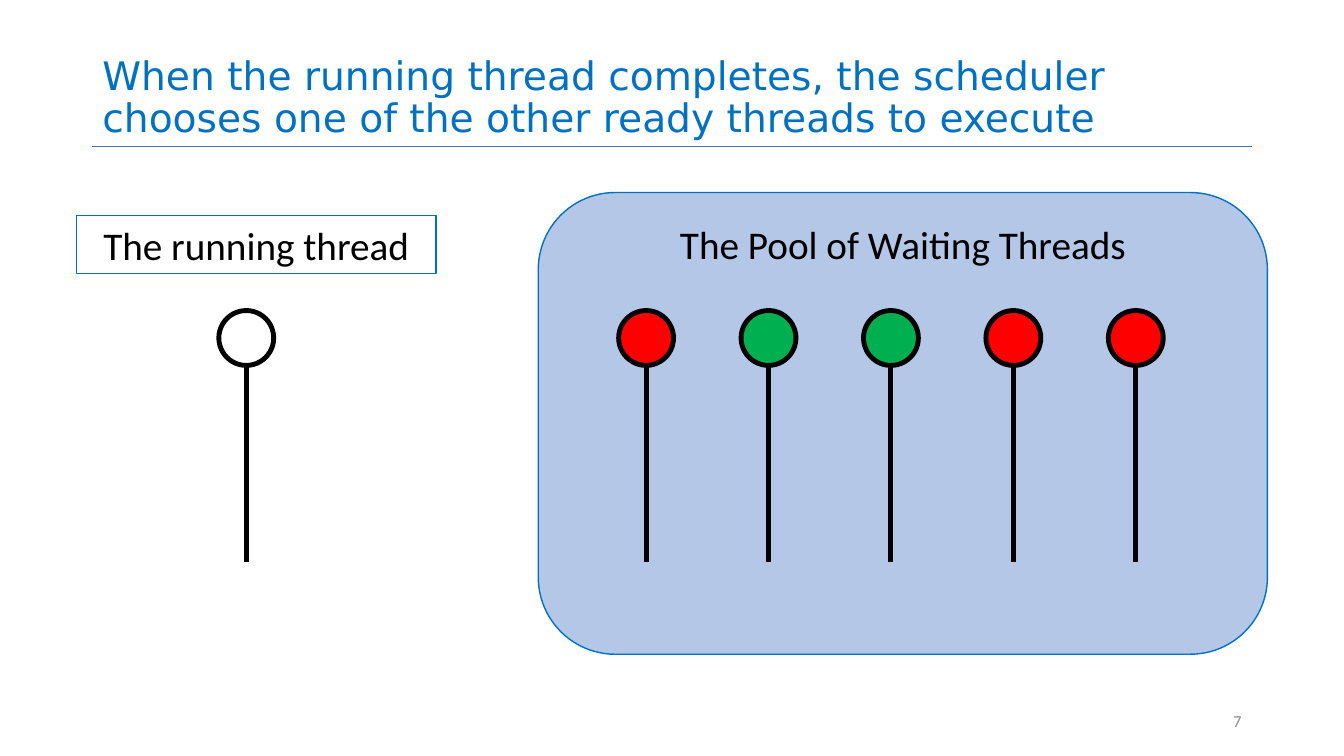
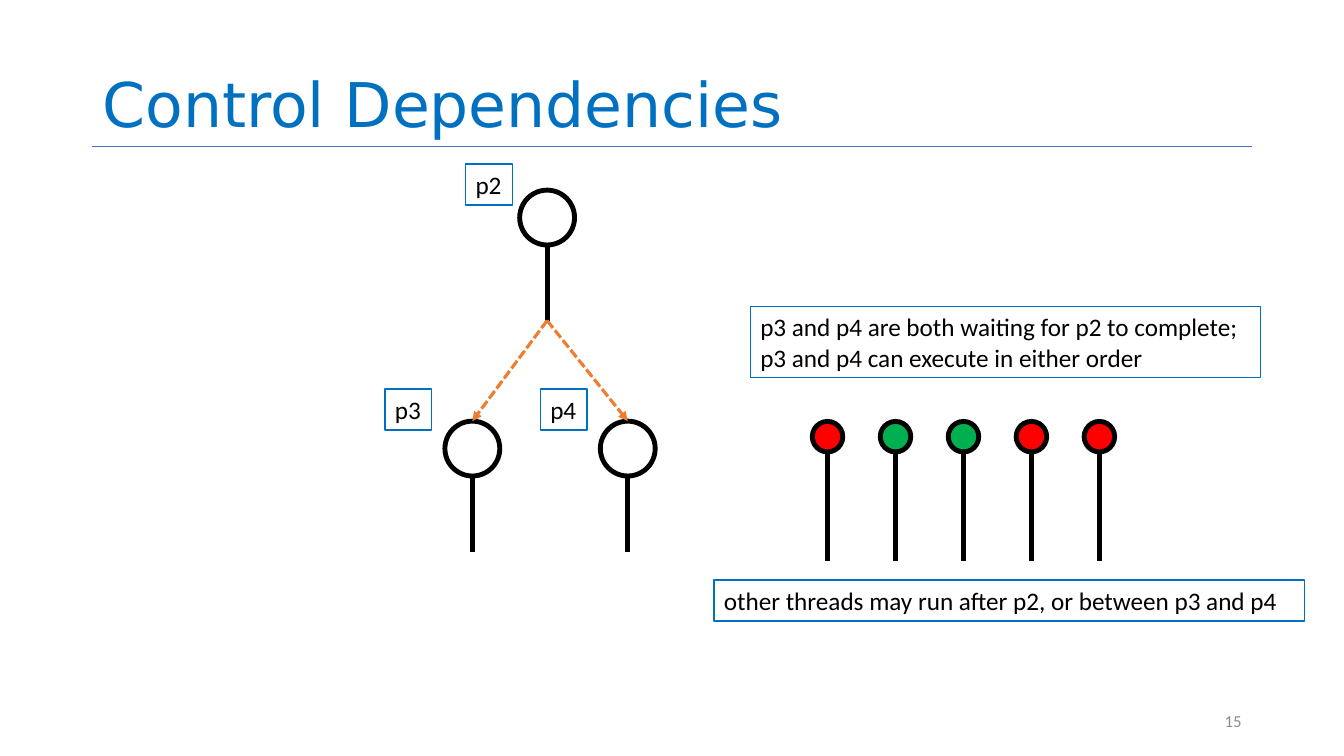
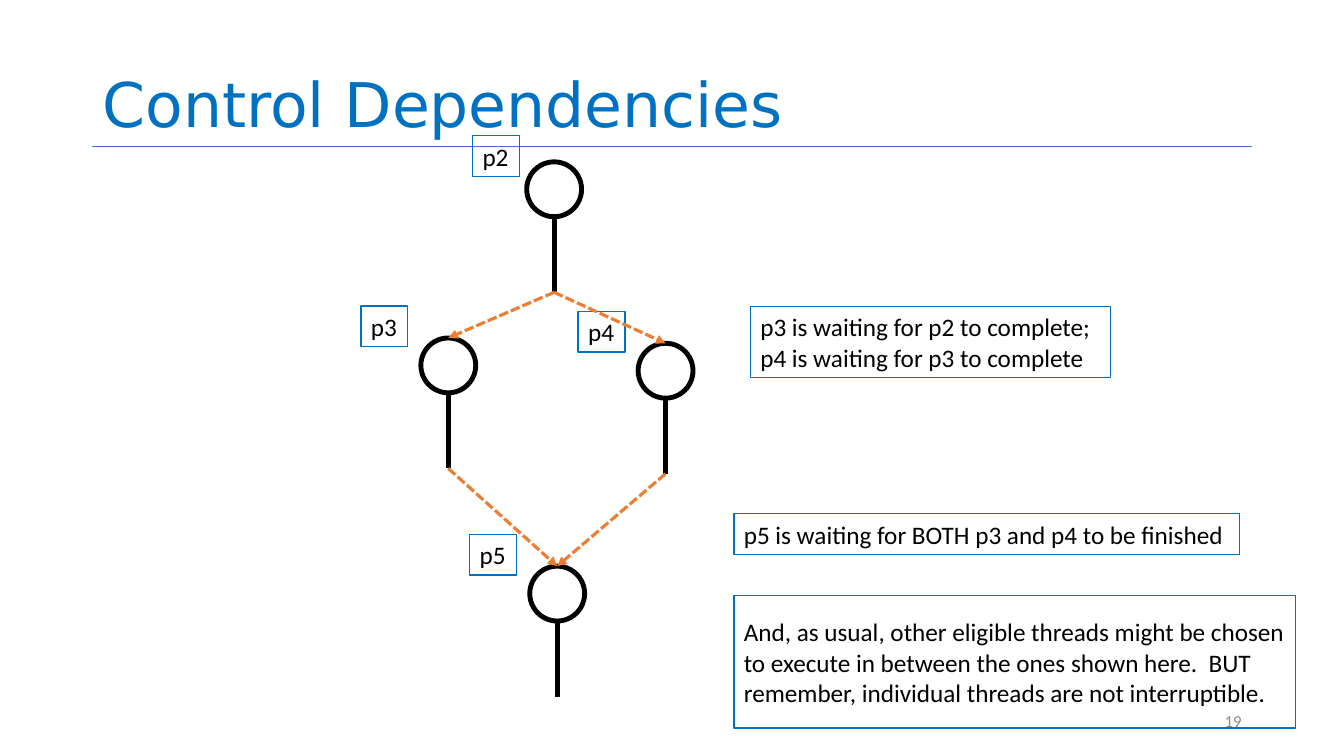
from dataclasses import dataclass

from lxml.etree import SubElement
from pptx import Presentation
from pptx.dml.color import RGBColor as Color
from pptx.enum.dml import MSO_LINE as Dash
from pptx.enum.shapes import MSO_CONNECTOR as Connector, MSO_SHAPE as Preset
from pptx.enum.text import MSO_ANCHOR as Anchor, MSO_AUTO_SIZE as AutoSize, PP_ALIGN as Align
from pptx.oxml.ns import qn
from pptx.util import Pt


@dataclass(frozen=True)
class Theme:
    """Colours, fonts, type sizes and line widths of the presentation."""
    accent: str = "0070C0"
    rule: str = "4472C4"
    pool: str = "B4C7E7"
    ink: str = "000000"
    muted: str = "8C8C8C"
    arrow: str = "ED7D31"
    red: str = "FF0000"
    green: str = "00B050"
    title_font: str = "DejaVu Sans"
    body_font: str = "Calibri"
    title_size: float = 44
    heading_size: float = 28
    body_size: float = 18
    number_size: float = 12
    rule_width: float = 0.5
    frame_width: float = 1
    arrow_width: float = 2.25
    thread_width: float = 3.5


@dataclass(frozen=True)
class Box:
    """A rectangle in points."""
    left: float
    top: float
    width: float
    height: float

    @property
    def right(self):
        """Return the right edge."""
        return self.left + self.width

    @property
    def bottom(self):
        """Return the bottom edge."""
        return self.top + self.height

    def lengths(self):
        """Return the four lengths as python-pptx expects them."""
        return Pt(self.left), Pt(self.top), Pt(self.width), Pt(self.height)


THEME = Theme()
TITLE = Box(66, 0, 828, 104.4)
NUMBER = Box(678, 500.4, 216, 28.8)
HEAD = 39.2
SMALL_HEAD = 21.8
LABEL_WIDTH, LABEL_HEIGHT = 33.4, 29.1
FIRST_NODE = (77.8, 111.8)
NEXT_NODE = (82, 116)
POOL_COLORS = (THEME.red, THEME.green, THEME.green, THEME.red, THEME.red)


def write(shape, lines, size, color=THEME.ink, font=THEME.body_font,
          align=Align.LEFT, anchor=Anchor.MIDDLE):
    """Fill a shape with paragraphs of one style."""
    frame = shape.text_frame
    frame.text = "\n".join(lines)
    frame.word_wrap = True
    frame.auto_size = AutoSize.NONE
    frame.vertical_anchor = anchor
    for paragraph in frame.paragraphs:
        paragraph.alignment = align
        paragraph.font.name = font
        paragraph.font.size = Pt(size)
        paragraph.font.color.rgb = Color.from_string(color)


def outline(shape, color, width):
    """Set the line of a shape or connector."""
    shape.line.color.rgb = Color.from_string(color)
    shape.line.width = Pt(width)


def add_line(slide, start, end, color, width):
    """Draw a straight line without a shadow between two points."""
    line = slide.shapes.add_connector(
        Connector.STRAIGHT, *(Pt(value) for value in (*start, *end)))
    outline(line, color, width)
    SubElement(line.element.spPr, qn("a:effectLst"))
    return line


def add_preset(slide, preset, box, fill, color, width):
    """Draw a preset shape, unfilled if no fill is given."""
    shape = slide.shapes.add_shape(preset, *box.lengths())
    shape.shadow.inherit = False
    if fill:
        shape.fill.solid()
        shape.fill.fore_color.rgb = Color.from_string(fill)
    else:
        shape.fill.background()
    outline(shape, color, width)
    return shape


def add_page(presentation, title, number, size=THEME.title_size):
    """Add a slide with its title, rule and slide number."""
    slide = presentation.slides.add_slide(presentation.slide_layouts[5])
    heading = slide.shapes.title
    heading.left, heading.top, heading.width, heading.height = TITLE.lengths()
    write(heading, [title], size, THEME.accent, THEME.title_font, anchor=Anchor.BOTTOM)
    heading.text_frame.paragraphs[0].line_spacing = 0.9
    add_line(slide, (TITLE.left, TITLE.bottom), (TITLE.right, TITLE.bottom),
             THEME.rule, THEME.rule_width)
    write(slide.shapes.add_textbox(*NUMBER.lengths()), [str(number)],
          THEME.number_size, THEME.muted, align=Align.RIGHT)
    return slide


def add_note(slide, box, *lines, size=THEME.body_size, align=Align.LEFT):
    """Add a framed text box."""
    note = slide.shapes.add_textbox(*box.lengths())
    outline(note, THEME.accent, THEME.frame_width)
    write(note, lines, size, align=align)


def add_thread(slide, box, fill=None):
    """Draw a thread: a round head as wide as the box, and a stick to its bottom."""
    head = add_preset(slide, Preset.OVAL, Box(box.left, box.top, box.width, box.width),
                      fill, THEME.ink, THEME.thread_width)
    middle = box.left + box.width / 2
    stick = add_line(slide, (middle, box.top + box.width), (middle, box.bottom),
                     THEME.ink, THEME.thread_width)
    return head, stick


def add_thread_row(slide, box, head):
    """Spread the coloured waiting threads evenly across the box."""
    pitch = (box.width - head) / (len(POOL_COLORS) - 1)
    for index, color in enumerate(POOL_COLORS):
        add_thread(slide, Box(box.left + index * pitch, box.top, head, box.height), color)


def add_node(slide, box, name):
    """Place a label at the top left of the box and a thread at its bottom right."""
    add_note(slide, Box(box.left, box.top, LABEL_WIDTH, LABEL_HEIGHT), name)
    height = HEAD + 54
    return add_thread(slide, Box(box.right - HEAD, box.bottom - height, HEAD, height))


def add_dependency(slide, before, after):
    """Point a dashed arrow from the foot of one thread to the head of another."""
    stick, head = before[1], after[0]
    arrow = add_line(slide, (stick.end_x.pt, stick.end_y.pt), (0, 0),
                     THEME.arrow, THEME.arrow_width)
    arrow.end_connect(head, 0)
    arrow.line.dash_style = Dash.SQUARE_DOT
    SubElement(arrow.element.spPr.find(qn("a:ln")), qn("a:tailEnd"), type="triangle")


def add_graph(slide, nodes, dependencies):
    """Draw labelled threads and the dependencies between them."""
    threads = {name: add_node(slide, box, name) for name, box in nodes.items()}
    for before, after in dependencies:
        add_dependency(slide, threads[before], threads[after])


def add_pool(slide, box):
    """Draw the pool of waiting threads."""
    pool = add_preset(slide, Preset.ROUNDED_RECTANGLE, box, THEME.pool,
                      THEME.accent, THEME.frame_width)
    write(pool, ["The Pool of Waiting Threads"], THEME.heading_size,
          align=Align.CENTER, anchor=Anchor.TOP)
    add_thread_row(slide, Box(box.left + 57.4, box.top + 84.3, 389, 180), HEAD)


def build_scheduler(presentation):
    """Build the slide on choosing the next thread."""
    slide = add_page(
        presentation,
        "When the running thread completes, the scheduler chooses one of the other "
        "ready threads to execute", 7, THEME.heading_size)
    add_pool(slide, Box(384.5, 137.5, 520.8, 329.8))
    add_thread(slide, Box(156.3, 221.8, HEAD, 180))
    add_note(slide, Box(54.5, 154, 257, 41.2), "The running thread",
             size=THEME.heading_size, align=Align.CENTER)


def build_fork(presentation):
    """Build the slide where two threads wait for one."""
    slide = add_page(presentation, "Control Dependencies", 15)
    nodes = {
        "p2": Box(332.6, 117.2, *FIRST_NODE),
        "p3": Box(275, 278, *NEXT_NODE),
        "p4": Box(386, 278, *NEXT_NODE),
    }
    add_graph(slide, nodes, [("p2", "p3"), ("p2", "p4")])
    add_note(slide, Box(536, 218.8, 364.3, 50.9),
             "p3 and p4 are both waiting for p2 to complete;",
             "p3 and p4 can execute in either order")
    add_thread_row(slide, Box(580.2, 301, 216, 100), SMALL_HEAD)
    add_note(slide, Box(510, 414.4, 422, LABEL_HEIGHT),
             "other threads may run after p2, or between p3 and p4")


def build_join(presentation):
    """Build the slide where one thread waits for two."""
    slide = add_page(presentation, "Control Dependencies", 19)
    nodes = {
        "p2": Box(337.6, 97, *FIRST_NODE),
        "p3": Box(257.8, 218.6, *NEXT_NODE),
        "p4": Box(413, 222.4, *NEXT_NODE),
        "p5": Box(335.6, 381.6, *NEXT_NODE),
    }
    add_graph(slide, nodes, [("p2", "p3"), ("p2", "p4"), ("p3", "p5"), ("p4", "p5")])
    add_note(slide, Box(536, 218.8, 257.3, 50.9),
             "p3 is waiting for p2 to complete;", "p4 is waiting for p3 to complete")
    add_note(slide, Box(524.2, 367, 361.4, LABEL_HEIGHT),
             "p5 is waiting for BOTH p3 and p4 to be finished")
    add_note(slide, Box(524.2, 425.6, 401.2, 94.5),
             "And, as usual, other eligible threads might be chosen to execute in between "
             "the ones shown here.  BUT remember, individual threads are not interruptible.")


def main():
    """Build and save the presentation."""
    presentation = Presentation()
    presentation.slide_width, presentation.slide_height = Pt(960), Pt(540)
    for build in (build_scheduler, build_fork, build_join):
        build(presentation)
    presentation.save("out.pptx")


if __name__ == "__main__":
    main()
